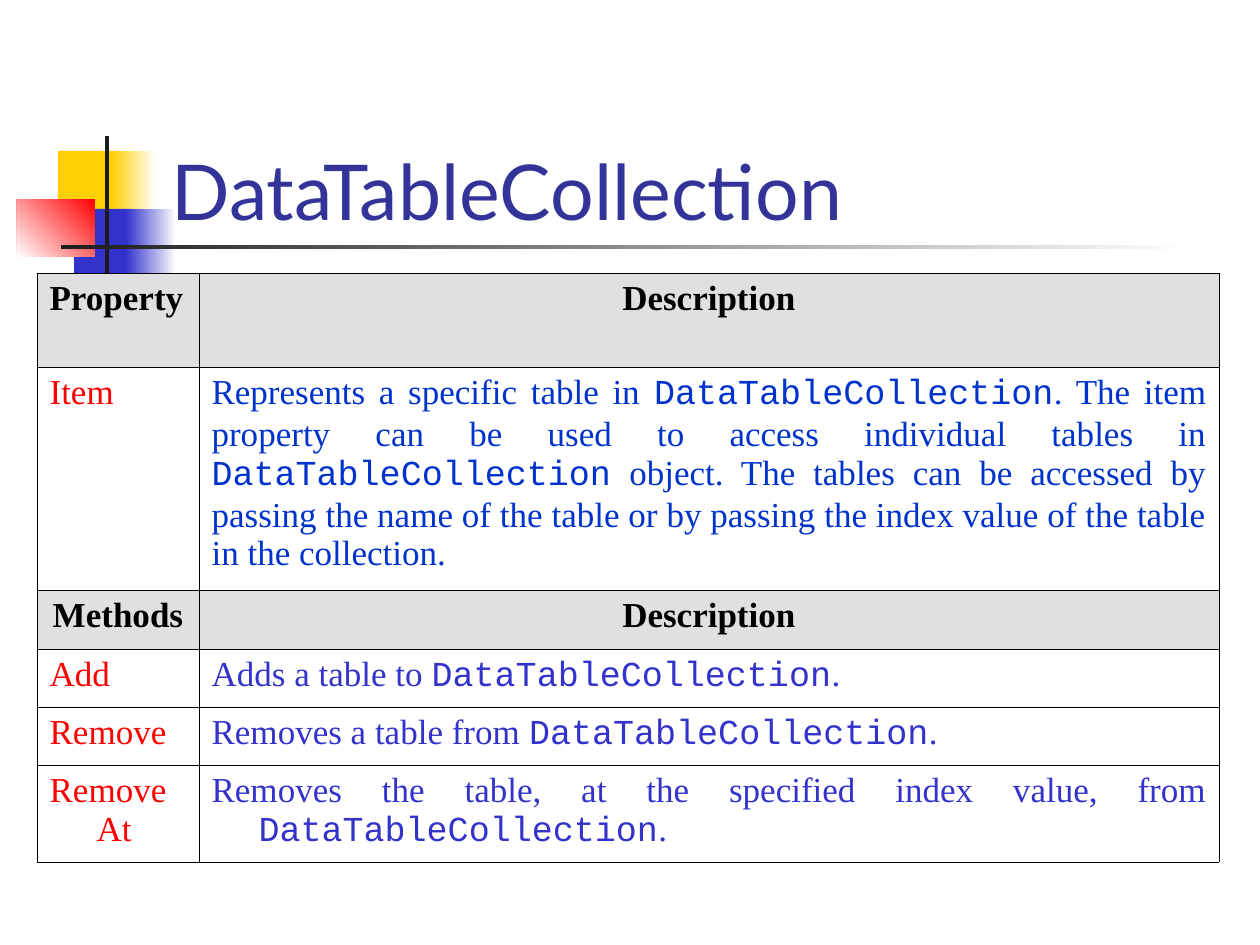
from itertools import cycle

from lxml.etree import SubElement as Sub
from pptx import Presentation
from pptx.dml.color import RGBColor as Rgb
from pptx.enum.shapes import MSO_SHAPE as Kind
from pptx.enum.text import MSO_ANCHOR as Anchor, MSO_AUTO_SIZE as Fit, PP_ALIGN as Align
from pptx.oxml.ns import qn
from pptx.util import Pt

SCALE = 914400 / 126
HANG = 47
SERIF, MONO, SANS = "Times New Roman", "Courier New", "Lato"
HEX = {
    "gold": "FFCF01", "blue": "3333CC", "red": "FF0000", "dark": "1C1C1C",
    "white": "FFFFFF", "title": "333399", "black": "000000",
    "royal": "0033CC", "grey": "E0E0E0",
}
BLOCKS = [
    ((58, 151, 60, 66), "gold"),
    ((111, 151, 45, 66), ("white", "gold", 180)),
    ((74, 209, 58, 66), "blue"),
    ((126, 209, 50, 66), ("white", "blue", 180)),
    ((17, 199, 78, 58), ("red", "white", 225)),
    ((105, 136, 4, 145), "dark"),
    ((61, 245, 1134, 4), ("white", "dark", 180)),
]
COLS = [162, 1020]
NAME = "DataTableCollection"
ROWS = [
    (94, "Property", Align.LEFT, ["Description"], None),
    (223, "Item", Align.JUSTIFY, [
        "Represents a specific table in ", NAME,
        ". The item property can be used to access individual tables in ", NAME,
        " object. The tables can be accessed by passing the name of the table"
        " or by passing the index value of the table in the collection.",
    ], "royal"),
    (59, "Methods", Align.CENTER, ["Description"], None),
    (58, "Add", Align.LEFT, ["Adds a table to ", NAME, "."], "blue"),
    (58, "Remove", Align.LEFT, ["Removes a table from ", NAME, "."], "blue"),
    (97, "RemoveAt", Align.LEFT, [
        "Removes the table, at the specified index value, from ", NAME, ".",
    ], "blue"),
]


def px(n):
    """Turn pixels into EMU."""
    return round(n * SCALE)


def rgb(key):
    """Look up a colour."""
    return Rgb.from_string(HEX[key])


def add_block(slide, box, paint):
    """Draw a rectangle with a plain or a fading fill."""
    shape = slide.shapes.add_shape(Kind.RECTANGLE, *map(px, box))
    shape.shadow.inherit = False
    shape.line.fill.background()
    if isinstance(paint, str):
        shape.fill.solid()
        shape.fill.fore_color.rgb = rgb(paint)
        return
    *ends, angle = paint
    shape.fill.gradient()
    shape.fill.gradient_angle = angle
    for stop, key, place in zip(shape.fill.gradient_stops, ends, (0, 1)):
        stop.color.rgb = rgb(key)
        stop.position = place


def add_run(para, text, face, size, key, bold=False):
    """Append a styled run."""
    run = para.add_run()
    run.text = text
    font = run.font
    font.name, font.size, font.bold = face, Pt(size), bold
    font.color.rgb = rgb(key)


def set_title(slide, text):
    """Place and fill the title."""
    title = slide.shapes.title
    title.left, title.top, title.width, title.height = map(px, (159, 84, 1074, 158))
    frame = title.text_frame
    frame.auto_size, frame.vertical_anchor = Fit.NONE, Anchor.BOTTOM
    para = frame.paragraphs[0]
    para.alignment = Align.LEFT
    add_run(para, text, SANS, 44, "title")


def add_edges(cell):
    """Give a cell thin black borders."""
    props = cell._tc.get_or_add_tcPr()
    for side in "LRTB":
        line = Sub(props, qn(f"a:ln{side}"), w=str(Pt(0.45)))
        fill = Sub(line, qn("a:solidFill"))
        Sub(fill, qn("a:srgbClr"), val=HEX["black"])


def fill_cell(cell, texts, align, key, head, hang=True):
    """Style a cell and write its runs in alternating faces."""
    add_edges(cell)
    if head:
        cell.fill.solid()
        cell.fill.fore_color.rgb = rgb("grey")
    else:
        cell.fill.background()
    para = cell.text_frame.paragraphs[0]
    para.alignment = align
    if hang:
        props = para._p.get_or_add_pPr()
        props.set("marL", str(px(HANG)))
        props.set("indent", str(-px(HANG)))
    for text, face in zip(texts, cycle((SERIF, MONO))):
        add_run(para, text, face, 20, key, head)


def add_grid(slide):
    """Build the table of members."""
    high = sum(row[0] for row in ROWS)
    box = map(px, (37, 273, sum(COLS), high))
    table = slide.shapes.add_table(len(ROWS), len(COLS), *box).table
    table.first_row = table.horz_banding = False
    for col, wide in zip(table.columns, COLS):
        col.width = px(wide)
    for i, (tall, name, align, texts, key) in enumerate(ROWS):
        table.rows[i].height = px(tall)
        head = key is None
        fill_cell(table.cell(i, 0), [name], align, "black" if head else "red", head)
        side = Align.CENTER if head else Align.JUSTIFY
        fill_cell(table.cell(i, 1), texts, side, key or "black", head, key != "royal")


def main():
    """Build and save the slide."""
    deck = Presentation()
    deck.slide_width, deck.slide_height = px(1260), px(945)
    slide = deck.slides.add_slide(deck.slide_layouts[5])
    for box, paint in BLOCKS:
        add_block(slide, box, paint)
    set_title(slide, NAME)
    add_grid(slide)
    deck.save("out.pptx")


if __name__ == "__main__":
    main()
